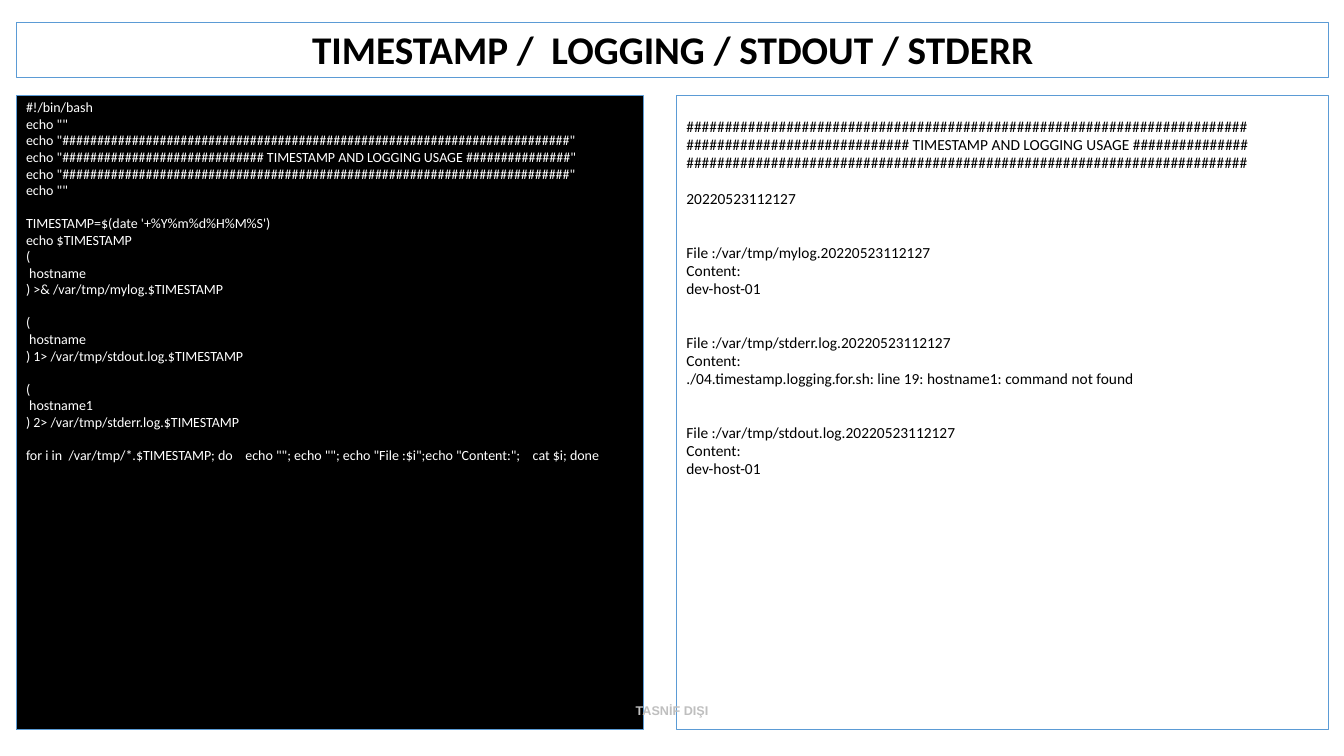
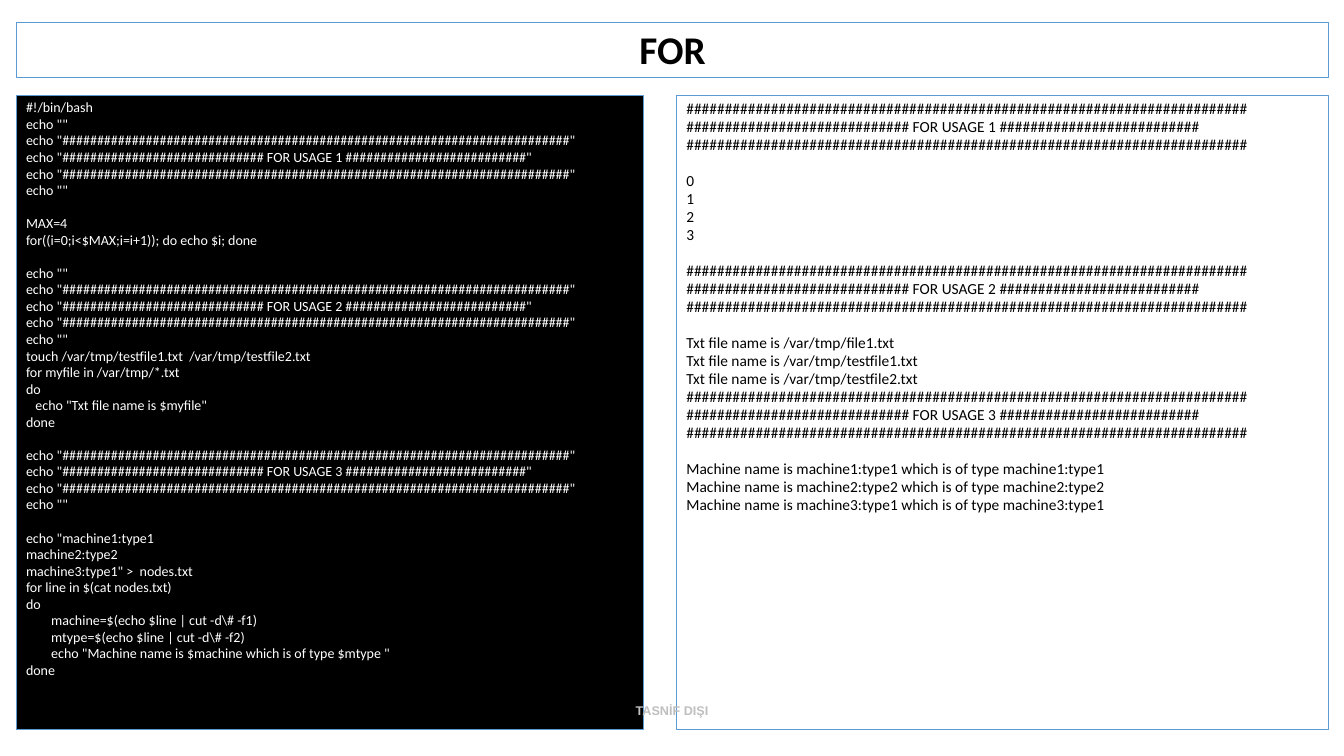
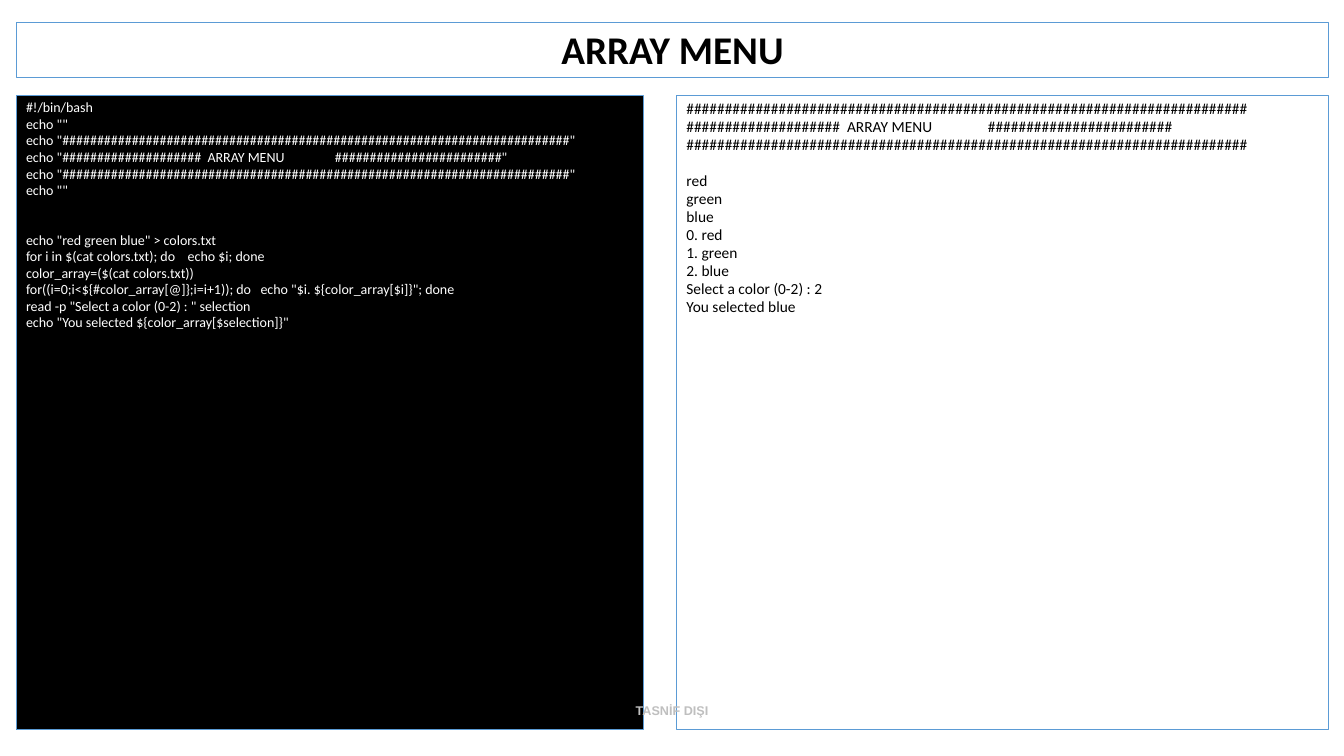
from pptx import Presentation
from pptx.dml.color import RGBColor
from pptx.enum.shapes import MSO_SHAPE as Shape
from pptx.enum.text import MSO_ANCHOR as Anchor, PP_ALIGN as Align
from pptx.util import Inches, Pt

COLOURS = {"border": "5B9BD5", "ink": "000000", "paper": "FFFFFF", "footer": "BFBFBF"}

# Shared geometry in inches: left, top, width, height
TITLE_BOX = (0.16, 0.22, 13.02, 0.55)
SCRIPT_BOX = (0.16, 0.95, 6.22, 6.29)
OUTPUT_BOX = (6.71, 0.95, 6.47, 6.29)
FOOTER_BOX = (0, 6.95, 13.33, 0.4)

# Shared type styles
TITLE_FONT = {"name": "Calibri", "size": Pt(28), "bold": True}
SCRIPT_FONT = {"name": "Calibri", "size": Pt(10), "bold": False}
OUTPUT_FONT = {"name": "Calibri", "size": Pt(11), "bold": False}
FOOTER_FONT = {"name": "Arial", "size": Pt(9), "bold": True}

LINE_SPACING = 0.9
LINE_GAP = 1  # points before each code line
SCRIPT_PITCH, OUTPUT_PITCH = 11.8, 12.9  # points taken by one empty line


# Banner text used by the shell scripts and their output
def banner(before, label, after):
    rule = "#" * 73
    return [rule, "#" * before + label + "#" * after, rule]


def echo(lines):
    return [f'echo "{line}"' for line in lines]


def for_banner(number):
    return banner(29, f" FOR USAGE {number} ", 26)


LOG_BANNER = banner(29, " TIMESTAMP AND LOGGING USAGE ", 15)
MENU_BANNER = banner(20, "  ARRAY MENU                ", 24)
SCRIPT_START = ["#!/bin/bash", 'echo ""']

# Slide content: an empty string opens a gap of one line
LOG_SCRIPT = [
    *SCRIPT_START, *echo(LOG_BANNER), 'echo ""',
    "",
    "TIMESTAMP=$(date '+%Y%m%d%H%M%S')",
    "echo $TIMESTAMP",
    "(",
    " hostname",
    ") >& /var/tmp/mylog.$TIMESTAMP",
    "",
    "(",
    " hostname",
    ") 1> /var/tmp/stdout.log.$TIMESTAMP",
    "",
    "(",
    " hostname1",
    ") 2> /var/tmp/stderr.log.$TIMESTAMP",
    "",
    'for i in  /var/tmp/*.$TIMESTAMP; do    echo ""; echo ""; '
    'echo "File :$i";echo "Content:";    cat $i; done',
]
LOG_OUTPUT = [
    "", *LOG_BANNER,
    "",
    "20220523112127",
    "", "",
    "File :/var/tmp/mylog.20220523112127",
    "Content:",
    "dev-host-01",
    "", "",
    "File :/var/tmp/stderr.log.20220523112127",
    "Content:",
    "./04.timestamp.logging.for.sh: line 19: hostname1: command not found",
    "", "",
    "File :/var/tmp/stdout.log.20220523112127",
    "Content:",
    "dev-host-01",
]
FOR_SCRIPT = [
    *SCRIPT_START, *echo(for_banner(1)), 'echo ""',
    "",
    "MAX=4",
    "for((i=0;i<$MAX;i=i+1)); do echo $i; done",
    "",
    'echo ""', *echo(for_banner(2)), 'echo ""',
    "touch /var/tmp/testfile1.txt  /var/tmp/testfile2.txt",
    "for myfile in /var/tmp/*.txt",
    "do",
    '   echo "Txt file name is $myfile"',
    "done",
    "",
    *echo(for_banner(3)), 'echo ""',
    "",
    'echo "machine1:type1',
    "machine2:type2",
    'machine3:type1" >  nodes.txt',
    "for line in $(cat nodes.txt)",
    "do",
    r"        machine=$(echo $line | cut -d\# -f1)",
    r"        mtype=$(echo $line | cut -d\# -f2)",
    '        echo "Machine name is $machine which is of type $mtype "',
    "done",
]
FOR_OUTPUT = [
    *for_banner(1), "",
    *"0123", "",
    *for_banner(2), "",
    *[f"Txt file name is /var/tmp/{name}.txt" for name in ("file1", "testfile1", "testfile2")],
    *for_banner(3), "",
    *[f"Machine name is {node} which is of type {node}"
      for node in ("machine1:type1", "machine2:type2", "machine3:type1")],
]
MENU_SCRIPT = [
    *SCRIPT_START, *echo(MENU_BANNER), 'echo ""',
    "", "",
    'echo "red green blue" > colors.txt',
    "for i in $(cat colors.txt); do    echo $i; done",
    "color_array=($(cat colors.txt))",
    'for((i=0;i<${#color_array[@]};i=i+1)); do   echo "$i. ${color_array[$i]}"; done',
    'read -p "Select a color (0-2) : " selection',
    'echo "You selected ${color_array[$selection]}"',
]
MENU_OUTPUT = [
    *MENU_BANNER, "",
    "red", "green", "blue",
    "0. red", "1. green", "2. blue",
    "Select a color (0-2) : 2",
    "You selected blue",
]

SLIDES = [
    ("TIMESTAMP /  LOGGING / STDOUT / STDERR", LOG_SCRIPT, LOG_OUTPUT),
    ("FOR", FOR_SCRIPT, FOR_OUTPUT),
    ("ARRAY MENU", MENU_SCRIPT, MENU_OUTPUT),
]


# Element builders
def colour(key):
    return RGBColor.from_string(COLOURS[key])


def write(paragraph, text, font, ink, align):
    paragraph.alignment = align
    run = paragraph.add_run()
    run.text = text
    for attribute, value in font.items():
        setattr(run.font, attribute, value)
    run.font.color.rgb = colour(ink)


def set_frame(frame, anchor, top=0.05, bottom=0.05):
    settings = {"word_wrap": True, "vertical_anchor": anchor,
                "margin_left": Inches(0.1), "margin_right": Inches(0.1),
                "margin_top": Inches(top), "margin_bottom": Inches(bottom)}
    for attribute, value in settings.items():
        setattr(frame, attribute, value)


def add_frame(slide, box, fill=None):
    panel = slide.shapes.add_shape(Shape.RECTANGLE, *map(Inches, box))
    panel.shadow.inherit = False
    if fill:
        panel.fill.solid()
        panel.fill.fore_color.rgb = colour(fill)
    else:
        panel.fill.background()
    panel.line.color.rgb = colour("border")
    panel.line.width = Pt(0)
    return panel.text_frame


def add_title(slide, text):
    frame = add_frame(slide, TITLE_BOX)
    set_frame(frame, Anchor.BOTTOM)
    heading = frame.paragraphs[0]
    heading.line_spacing = LINE_SPACING
    write(heading, text, TITLE_FONT, "ink", Align.CENTER)


def add_code(slide, box, lines, font, ink, pitch, fill=None):
    frame = add_frame(slide, box, fill)
    # Empty lines at the top become part of the top margin
    top_gap = 0.18 if not lines[0] else 0
    set_frame(frame, Anchor.TOP, top=0.05 + top_gap)
    started, gaps = False, 0
    for line in lines:
        if not line:
            gaps += 1
            continue
        paragraph = frame.add_paragraph() if started else frame.paragraphs[0]
        paragraph.line_spacing = LINE_SPACING
        if started:
            paragraph.space_before = Pt(LINE_GAP + gaps * pitch)
        write(paragraph, line, font, ink, Align.LEFT)
        started, gaps = True, 0


def add_footer(slide):
    frame = slide.shapes.add_textbox(*map(Inches, FOOTER_BOX)).text_frame
    set_frame(frame, Anchor.MIDDLE, top=0, bottom=0.2)
    write(frame.paragraphs[0], "TASNİF DIŞI", FOOTER_FONT, "footer", Align.CENTER)


def main():
    deck = Presentation()
    deck.slide_width, deck.slide_height = Inches(13.33), Inches(7.5)
    blank = deck.slide_layouts[6]
    for title, script, output in SLIDES:
        slide = deck.slides.add_slide(blank)
        add_title(slide, title)
        add_code(slide, SCRIPT_BOX, script, SCRIPT_FONT, "paper", SCRIPT_PITCH, fill="ink")
        add_code(slide, OUTPUT_BOX, output, OUTPUT_FONT, "ink", OUTPUT_PITCH)
        add_footer(slide)
    deck.save("out.pptx")


if __name__ == "__main__":
    main()
